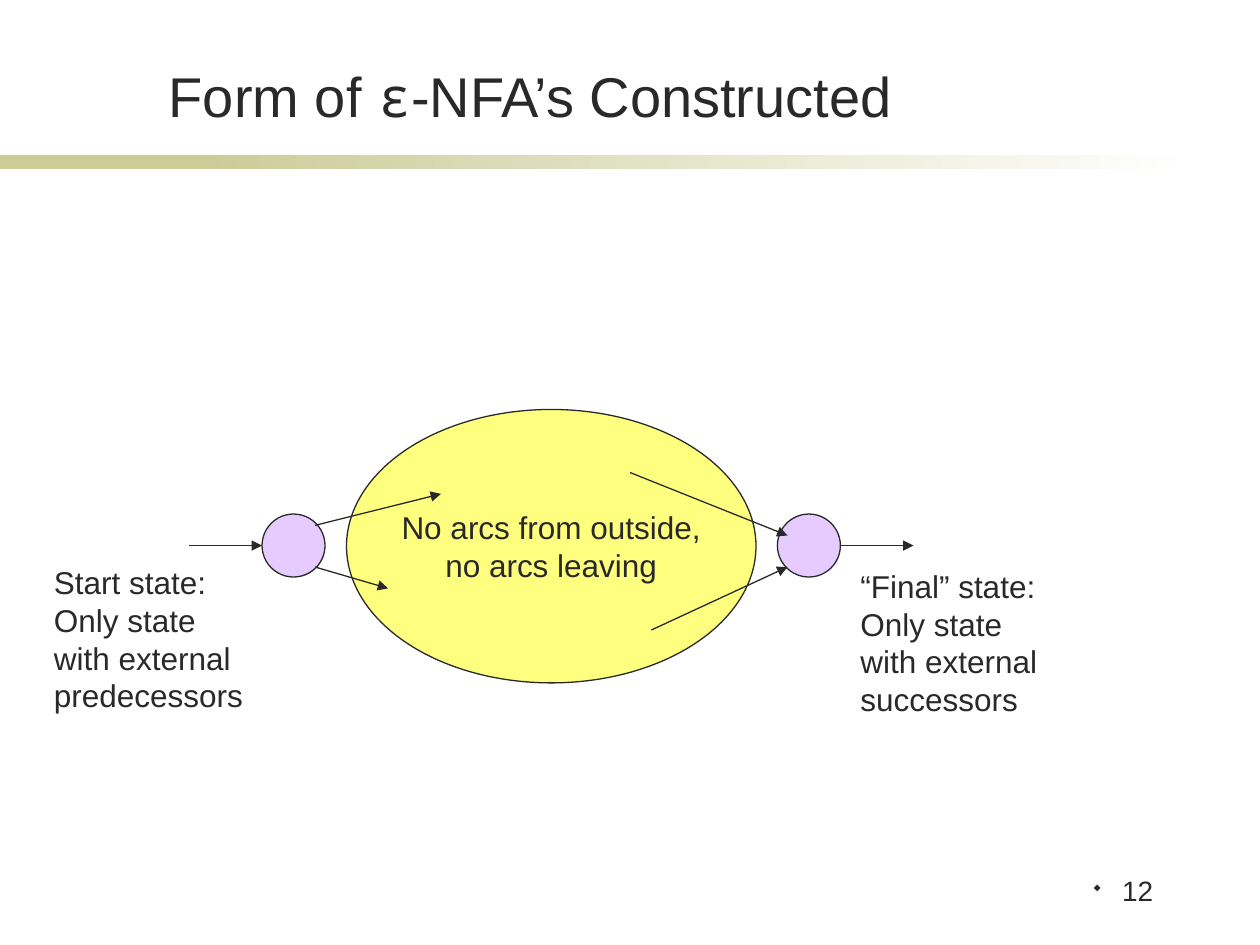
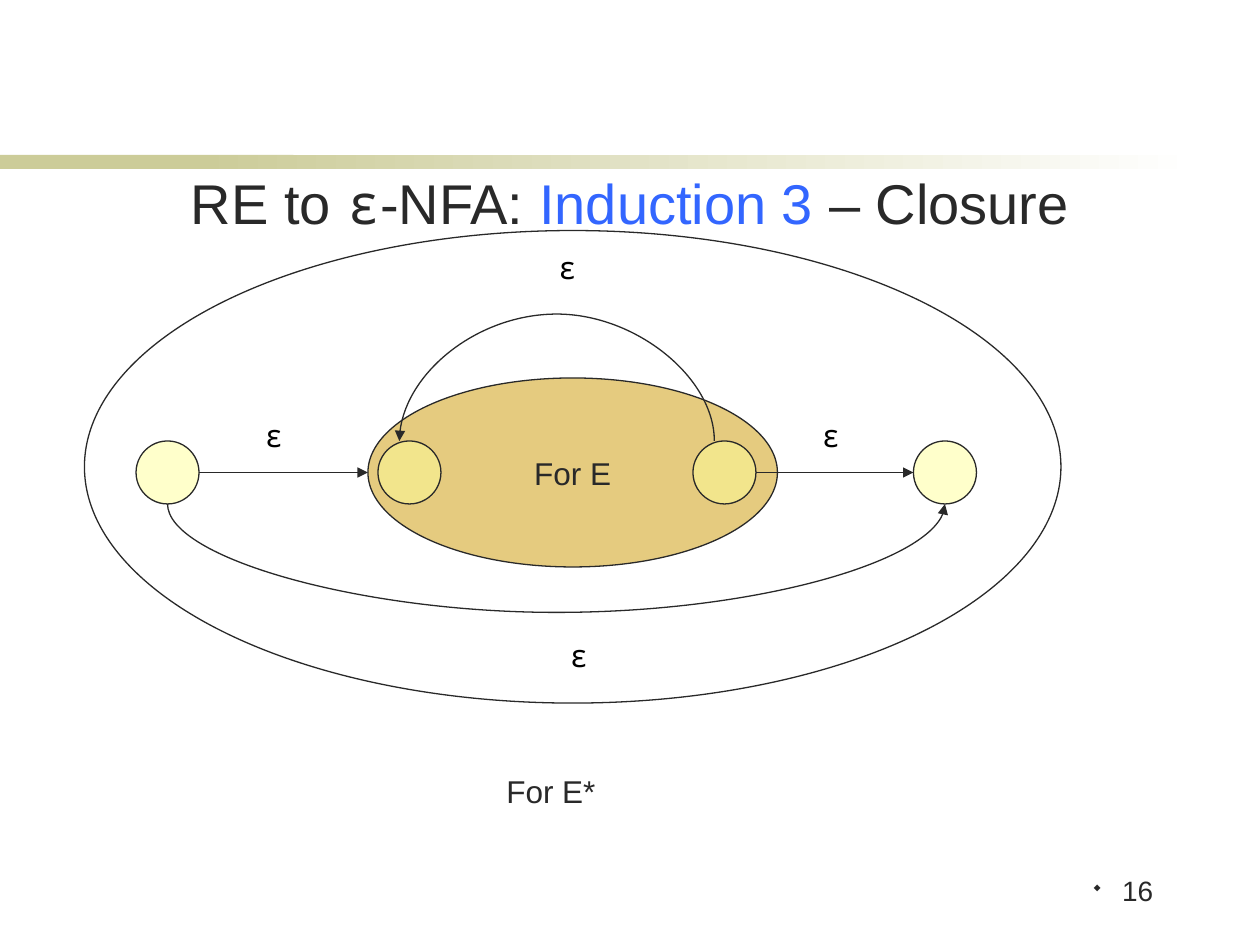
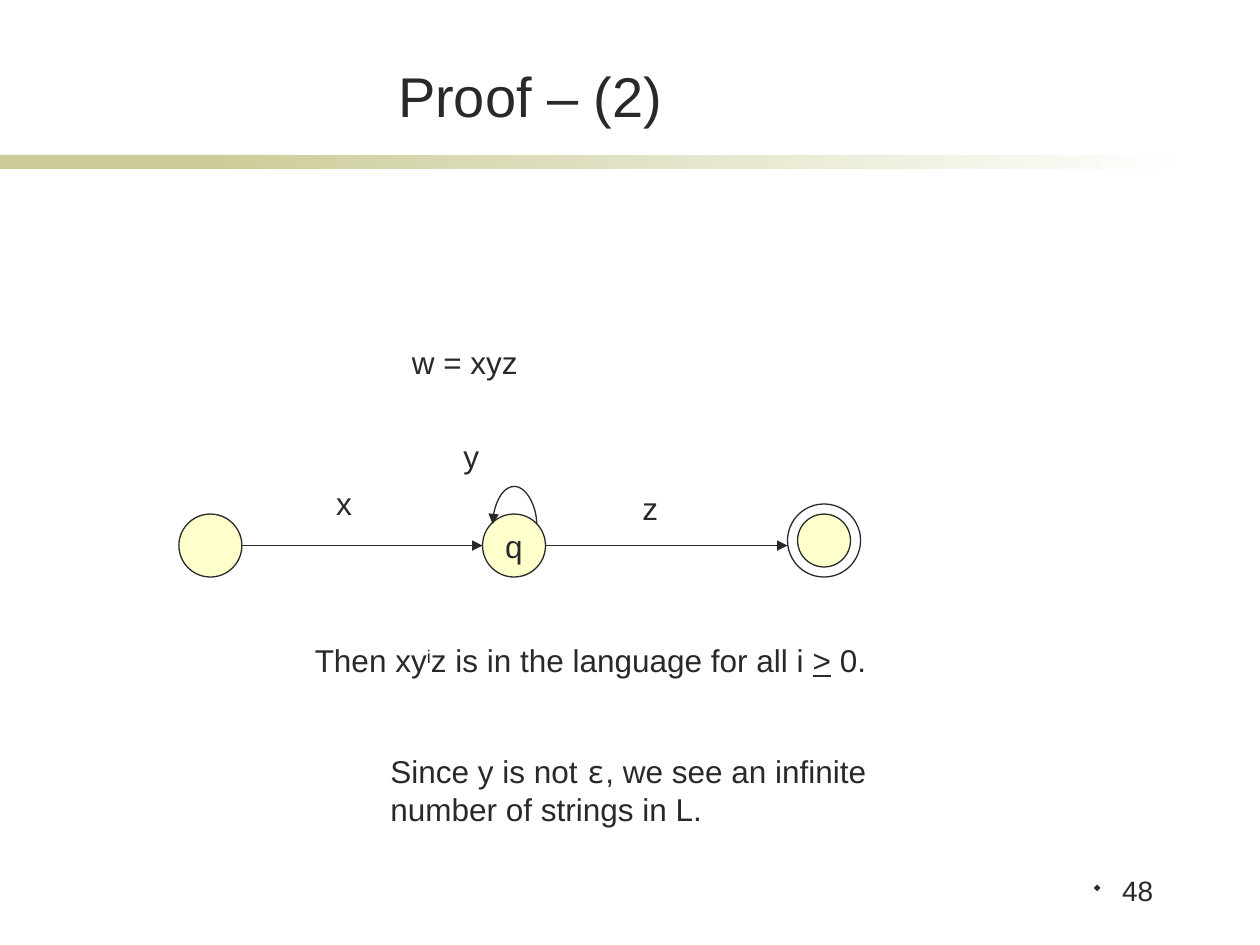
from dataclasses import dataclass
from typing import Any, Optional

import lxml.etree
import pptx
import pptx.dml.color
import pptx.enum.shapes
import pptx.enum.text
import pptx.oxml.ns
import pptx.util

Inches = pptx.util.Inches
Pt = pptx.util.Pt
Align = pptx.enum.text.PP_ALIGN
Anchor = pptx.enum.text.MSO_ANCHOR
Shape = pptx.enum.shapes.MSO_SHAPE
Connector = pptx.enum.shapes.MSO_CONNECTOR
qn = pptx.oxml.ns.qn

COLORS = {
    "ink": "292929",
    "black": "000000",
    "accent": "3366FF",
    "band": "CCCC99",
    "paper": "FFFFFF",
    "violet": "CC99FF",
    "yellow": "FFFF00",
    "ochre": "CC9900",
    "cream": "FFFF99",
}
BODY_FONT = "Arial"
EPSILON_FONT = "Noto Sans Mono"
BULLET_FONT = "Wingdings"
DIAMOND = "w"  # the diamond's place in the bullet font
STATE_SIZE = 0.5
CURVE_THICKNESS = pptx.util.Emu(1588)
TITLE_BOX = (1.14, 0.44, 6.14, 0.63)


@dataclass(frozen=True)
class Span:
    text: str
    color: str = "ink"
    font: str = BODY_FONT
    underline: bool = False
    superscript: bool = False


Line = list[Span]
EPSILON = Span("ε", font=EPSILON_FONT)
BLACK_EPSILON = Span("ε", color="black", font=EPSILON_FONT)


@dataclass(frozen=True)
class Oval:
    left: float
    top: float
    width: float = STATE_SIZE
    height: float = STATE_SIZE
    fill: Optional[str] = "cream"
    lines: tuple[str, ...] = ()


@dataclass(frozen=True)
class Arrow:
    start: tuple[float, float]
    end: tuple[float, float]


@dataclass(frozen=True)
class Arc:
    """Curved arrow between two points at one height; positive depth bends down."""
    start_x: float
    end_x: float
    y: float
    depth: float


@dataclass(frozen=True)
class Label:
    left: float
    top: float
    width: float
    height: float
    lines: tuple[Line, ...]


def rgb(name: str) -> pptx.dml.color.RGBColor:
    return pptx.dml.color.RGBColor.from_string(COLORS[name])


def add_child(parent: Any, tag: str, **attributes: str) -> Any:
    return lxml.etree.SubElement(parent, qn(tag), attributes)


def add_span(para: Any, text: str, *, size: float = 18, color: str = "ink",
             font: str = BODY_FONT, underline: bool = False,
             superscript: bool = False) -> None:
    run = para.add_run()
    run.text = text
    run.font.size = Pt(size)
    run.font.name = font
    run.font.color.rgb = rgb(color)
    if underline:
        run.font.underline = True
    if superscript:
        run.font._element.set("baseline", "30000")


def write_lines(frame: Any, lines: tuple[Line, ...], size: float = 18,
                align: Any = Align.LEFT) -> None:
    for index, line in enumerate(lines):
        para = frame.paragraphs[0] if index == 0 else frame.add_paragraph()
        para.alignment = align
        for span in line:
            add_span(para, span.text, size=size, color=span.color, font=span.font,
                     underline=span.underline, superscript=span.superscript)


def add_label(page: Any, label: Label) -> None:
    box = page.shapes.add_textbox(Inches(label.left), Inches(label.top),
                                  Inches(label.width), Inches(label.height))
    box.text_frame.word_wrap = True
    write_lines(box.text_frame, label.lines)


def add_oval(page: Any, oval: Oval) -> None:
    shape = page.shapes.add_shape(Shape.OVAL, Inches(oval.left), Inches(oval.top),
                                  Inches(oval.width), Inches(oval.height))
    shape.shadow.inherit = False
    shape.line.color.rgb = rgb("ink")
    shape.line.width = Pt(0.75)
    if oval.fill:
        shape.fill.solid()
        shape.fill.fore_color.rgb = rgb(oval.fill)
        color = shape._element.spPr.find(qn("a:solidFill")).find(qn("a:srgbClr"))
        add_child(color, "a:alpha", val="50000")
    else:
        shape.fill.background()
    if oval.lines:
        frame = shape.text_frame
        frame.word_wrap = False
        frame.vertical_anchor = Anchor.MIDDLE
        write_lines(frame, tuple([Span(text)] for text in oval.lines), align=Align.CENTER)


def style_arrow(connector: Any) -> None:
    connector.line.color.rgb = rgb("ink")
    connector.line.width = Pt(0.75)
    add_child(connector.line._get_or_add_ln(), "a:tailEnd", type="triangle")
    add_child(connector._element.spPr, "a:effectLst")


def add_arrow(page: Any, arrow: Arrow) -> None:
    points = [Inches(value) for value in arrow.start + arrow.end]
    style_arrow(page.shapes.add_connector(Connector.STRAIGHT, *points))


def add_arc(page: Any, arc: Arc) -> None:
    """Lay a thin upright connector on its side and bend it with its adjustment."""
    span = Inches(abs(arc.end_x - arc.start_x))
    left = Inches((arc.start_x + arc.end_x) / 2) - CURVE_THICKNESS // 2
    top = Inches(arc.y) - span // 2
    connector = page.shapes.add_connector(Connector.CURVE, left, top,
                                          left + CURVE_THICKNESS, top + span)
    properties = connector._element.spPr
    frame = properties.find(qn("a:xfrm"))
    frame.set("rot", str(270 * 60000))
    frame.set("flipH", "1")
    if arc.start_x > arc.end_x:
        frame.set("flipV", "1")
    geometry = properties.find(qn("a:prstGeom"))
    guides = geometry.find(qn("a:avLst"))
    if guides is None:
        guides = add_child(geometry, "a:avLst")
    bend = round(Inches(arc.depth) / CURVE_THICKNESS * 100000)
    add_child(guides, "a:gd", name="adj1", fmla=f"val {bend}")
    style_arrow(connector)


def add_bands(page: Any, layout: Any) -> None:
    """Draw the two title bands and hand them over to the layout."""
    for left, width, fades in ((0, 2.33, False), (1.58, 7.92, True)):
        band = page.shapes.add_shape(Shape.RECTANGLE, Inches(left), Inches(1.23),
                                     Inches(width), Inches(0.11))
        band.shadow.inherit = False
        band.line.fill.background()
        if fades:
            band.fill.gradient()
            band.fill.gradient_angle = 0
            for stop, color in zip(band.fill.gradient_stops, ("band", "paper")):
                stop.color.rgb = rgb(color)
        else:
            band.fill.solid()
            band.fill.fore_color.rgb = rgb("band")
        layout.shapes.element.append(band._element)


def add_page_number(page: Any, number: int) -> None:
    box = page.shapes.add_textbox(Inches(8.23), Inches(6.87), Inches(1.02), Inches(0.5))
    box.text_frame.word_wrap = True
    box.text_frame.margin_top = Inches(0.09)
    para = box.text_frame.paragraphs[0]
    properties = para._p.get_or_add_pPr()
    add_child(add_child(properties, "a:buClr"), "a:srgbClr", val=COLORS["ink"])
    add_child(properties, "a:buSzPct", val="60000")
    add_child(properties, "a:buFont", typeface=BULLET_FONT, pitchFamily="2", charset="2")
    add_child(properties, "a:buChar", char=DIAMOND)
    para.alignment = Align.RIGHT
    para.line_spacing = 0.9
    add_span(para, str(number), size=16)


def add_page(deck: Any, layout: Any, number: int, title: Line,
             title_box: tuple[float, float, float, float] = TITLE_BOX) -> Any:
    page = deck.slides.add_slide(layout)
    holder = page.shapes.title
    holder.left, holder.top, holder.width, holder.height = map(Inches, title_box)
    frame = holder.text_frame
    frame.auto_size = pptx.enum.text.MSO_AUTO_SIZE.NONE
    frame.vertical_anchor = Anchor.BOTTOM
    write_lines(frame, (title,), size=32, align=Align.CENTER)
    add_page_number(page, number)
    return page


def draw(page: Any, items: list[Any]) -> None:
    painters = {Oval: add_oval, Arrow: add_arrow, Arc: add_arc, Label: add_label}
    for item in items:
        painters[type(item)](page, item)


def plain_label(left: float, top: float, width: float, height: float, *texts: str) -> Label:
    return Label(left, top, width, height, tuple([Span(text)] for text in texts))


def epsilon_label(left: float, top: float) -> Label:
    return Label(left, top, 0.38, 0.5, ([BLACK_EPSILON],))


def build_form_page(deck: Any, layout: Any) -> Any:
    page = add_page(deck, layout, 12,
                    [Span("Form of "), EPSILON, Span("-NFA’s Constructed")])
    draw(page, [
        Oval(2.08, 4.08, fill="violet"),
        Oval(6.17, 4.08, fill="violet"),
        Arrow((1.5, 4.33), (2.08, 4.33)),
        Arrow((6.67, 4.33), (7.25, 4.33)),
        Oval(2.75, 3.25, 3.25, 2.17, "yellow", ("No arcs from outside,", "no arcs leaving")),
        Arrow((2.5, 4.5), (3.08, 4.67)),
        Arrow((2.5, 4.17), (3.5, 3.92)),
        Arrow((5, 3.75), (6.25, 4.25)),
        Arrow((5.17, 5), (6.25, 4.5)),
        plain_label(0.33, 4.42, 2.12, 1.7,
                    "Start state:", "Only state", "with external", "predecessors"),
        plain_label(6.73, 4.45, 2.11, 1.7,
                    "“Final” state:", "Only state", "with external", "successors"),
    ])
    return page


def build_closure_page(deck: Any, layout: Any) -> None:
    title = [Span("RE to "), EPSILON, Span("-NFA: "),
             Span("Induction 3", color="accent"), Span(" – Closure")]
    page = add_page(deck, layout, 16, title, (0, 0.67, 10, 1.25))
    draw(page, [
        Oval(2.92, 3, 3.25, 1.5, "ochre", ("For E",)),
        Oval(5.5, 3.5),
        Oval(3, 3.5),
        Oval(0.67, 1.83, 7.75, 3.75, None),
        plain_label(3.92, 6.08, 1.15, 0.5, "For E*"),
        Oval(7.25, 3.5),
        Oval(1.08, 3.5),
        Arrow((1.58, 3.75), (2.92, 3.75)),
        Arrow((6, 3.75), (7.25, 3.75)),
        Arc(5.67, 3.17, 3.5, -1.11),
        Arc(1.33, 7.5, 4, 0.95),
        epsilon_label(4.33, 1.92),
        epsilon_label(4.42, 5),
        epsilon_label(6.42, 3.25),
        epsilon_label(2, 3.25),
    ])


def build_proof_page(deck: Any, layout: Any) -> None:
    page = add_page(deck, layout, 48, [Span("Proof – (2)")])
    pumped = [Span("Then xy"), Span("i", superscript=True),
              Span("z is in the language for all i "), Span(">", underline=True), Span(" 0.")]
    reason = ([Span("Since y is not "), EPSILON, Span(", we see an infinite")],
              [Span("number of strings in L.")])
    draw(page, [
        plain_label(3.17, 2.67, 1.38, 0.5, "w = xyz"),
        Oval(1.42, 4.08),
        Oval(3.83, 4.08, lines=("q",)),
        Oval(6.33, 4.08, 0.42, 0.42),
        Oval(6.25, 4, 0.58, 0.58, None),
        Arrow((1.92, 4.33), (3.83, 4.33)),
        Arrow((4.33, 4.33), (6.25, 4.33)),
        plain_label(2.57, 3.79, 0.37, 0.5, "x"),
        plain_label(3.58, 3.42, 0.37, 0.5, "y"),
        plain_label(5, 3.83, 0.35, 0.5, "z"),
        Arc(4.26, 3.91, 4.16, -0.33),
        Label(2.4, 5.04, 6.15, 0.5, (pumped,)),
        Label(3, 5.92, 5.24, 0.9, reason),
    ])


def main() -> None:
    deck = pptx.Presentation()
    deck.slide_width, deck.slide_height = Inches(10), Inches(7.5)
    layout = deck.slide_layouts.get_by_name("Title Only")
    form_page = build_form_page(deck, layout)
    add_bands(form_page, layout)
    build_closure_page(deck, layout)
    build_proof_page(deck, layout)
    deck.save("out.pptx")


if __name__ == "__main__":
    main()
